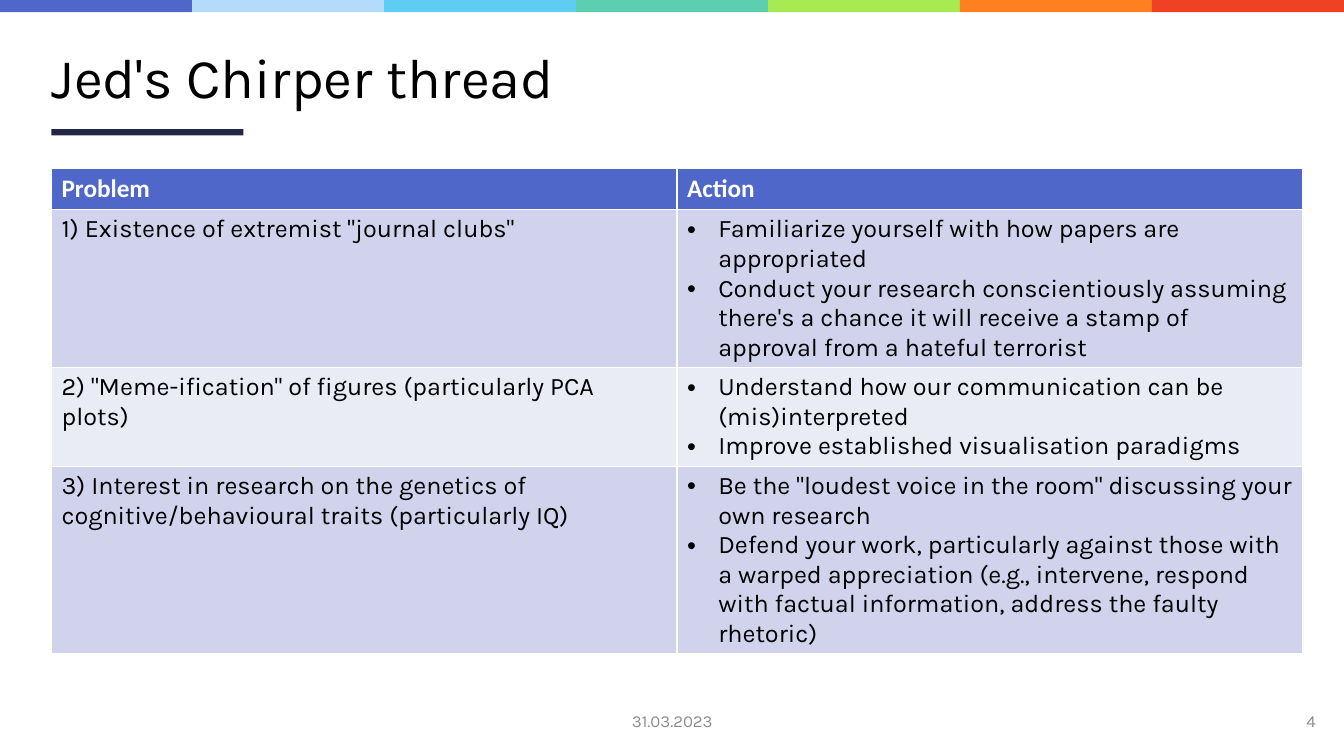
from dataclasses import dataclass

from lxml.etree import SubElement
from pptx import Presentation
from pptx.dml.color import RGBColor
from pptx.enum.shapes import MSO_SHAPE as Shape
from pptx.enum.text import MSO_ANCHOR as Anchor, PP_ALIGN as Align
from pptx.oxml.ns import qn
from pptx.util import Inches, Pt


@dataclass(frozen=True)
class Theme:
    strips: tuple = ("4E67C8", "B4DCFA", "5ECCF3", "5DCEAF", "A7EA52", "FF8021", "F14124")
    accent: str = "212745"
    header: str = "4E67C8"
    bands: tuple = ("D0D3EB", "E9EBF5")
    ink: str = "000000"
    paper: str = "FFFFFF"
    muted: str = "8C8C8C"
    font: str = "Karla"
    header_font: str = "Calibri"
    title_size: int = 40
    body_size: int = 18
    footer_size: int = 12


class SlideBuilder:
    """Draws on one slide; places are percentages of its width and height."""

    def __init__(self, deck, theme):
        self.deck = deck
        self.theme = theme
        self.page = deck.slides.add_slide(deck.slide_layouts[5])

    def across(self, share):
        return round(self.deck.slide_width * share / 100)

    def down(self, share):
        return round(self.deck.slide_height * share / 100)

    def place(self, left, top, width, height):
        return self.across(left), self.down(top), self.across(width), self.down(height)

    def style(self, para, size, color, font=None, bold=False):
        for span in para.runs:
            span.font.name = font or self.theme.font
            span.font.size = Pt(size)
            span.font.bold = bold
            span.font.color.rgb = RGBColor.from_string(color)

    def title(self, text, place):
        box = self.page.shapes.title
        box.left, box.top, box.width, box.height = self.place(*place)
        box.text_frame.text = text
        box.text_frame.vertical_anchor = Anchor.MIDDLE
        para = box.text_frame.paragraphs[0]
        para.alignment = Align.LEFT
        para.line_spacing = 0.9
        self.style(para, self.theme.title_size, self.theme.ink)

    def bar(self, color, place):
        bar = self.page.shapes.add_shape(Shape.RECTANGLE, *self.place(*place))
        bar.shadow.inherit = False
        bar.fill.solid()
        bar.fill.fore_color.rgb = RGBColor.from_string(color)
        bar.line.fill.background()

    def footer(self, text, place, align):
        box = self.page.shapes.add_textbox(*self.place(*place))
        box.text_frame.word_wrap = True
        box.text_frame.vertical_anchor = Anchor.MIDDLE
        box.text_frame.text = text
        para = box.text_frame.paragraphs[0]
        para.alignment = align
        self.style(para, self.theme.footer_size, self.theme.muted)

    def bullet(self, para):
        indent = Inches(0.31)
        props = para._p.get_or_add_pPr()
        props.set("marL", str(indent))
        props.set("indent", str(-indent))
        SubElement(props, qn("a:buFont")).set("typeface", "Arial")
        SubElement(props, qn("a:buChar")).set("char", "•")

    def cell(self, cell, lines, fill, color, font=None, bold=False, bullets=False):
        cell.fill.solid()
        cell.fill.fore_color.rgb = RGBColor.from_string(fill)
        cell.text_frame.text = "\n".join(lines)
        for para in cell.text_frame.paragraphs:
            if bullets:
                self.bullet(para)
            self.style(para, self.theme.body_size, color, font, bold)

    def table(self, headings, rows, heights, place):
        theme = self.theme
        left, top, width, _ = place
        frame = self.page.shapes.add_table(
            len(rows) + 1, len(headings), *self.place(left, top, width, sum(heights)))
        table = frame.table
        for row, height in zip(table.rows, heights):
            row.height = self.down(height)
        for column, heading in enumerate(headings):
            self.cell(table.cell(0, column), [heading], theme.header, theme.paper,
                      theme.header_font, bold=True)
        for index, (problem, actions) in enumerate(rows):
            band = theme.bands[index % len(theme.bands)]
            self.cell(table.cell(index + 1, 0), [problem], band, theme.ink)
            self.cell(table.cell(index + 1, 1), actions, band, theme.ink, bullets=True)


THREAD = [
    ('1) Existence of extremist "journal clubs"', [
        "Familiarize yourself with how papers are appropriated",
        "Conduct your research conscientiously assuming there's a chance it will "
        "receive a stamp of approval from a hateful terrorist"]),
    ('2) "Meme-ification" of figures (particularly PCA plots)', [
        "Understand how our communication can be (mis)interpreted",
        "Improve established visualisation paradigms"]),
    ("3) Interest in research on the genetics of cognitive/behavioural traits "
     "(particularly IQ)", [
        'Be the "loudest voice in the room" discussing your own research',
        "Defend your work, particularly against those with a warped appreciation "
        "(e.g., intervene, respond with factual information, address the faulty rhetoric)"]),
]


def main():
    deck = Presentation()
    deck.slide_width, deck.slide_height = Inches(13.33), Inches(7.5)
    theme = Theme()
    slide = SlideBuilder(deck, theme)

    # Colour strips along the top edge
    strip = 100 / len(theme.strips)
    for index, color in enumerate(theme.strips):
        slide.bar(color, (index * strip, 0, strip, 1.6))

    # Title and its underline
    slide.title("Jed's Chirper thread", (3.08, 5.6, 93.83, 10.13))
    slide.bar(theme.accent, (3.83, 17.07, strip, 0.86))

    # Problems and actions
    heights = (5.47, 20, 12, 24)
    slide.table(("Problem", "Action"), THREAD, heights, (3.83, 22.27, 93.08, sum(heights)))

    # Date and page number
    slide.footer("31.03.2023", (38.78, 92.67, 22.5, 5.33), Align.CENTER)
    slide.footer("4", (95.25, 92.67, 3.38, 5.33), Align.RIGHT)

    deck.save("out.pptx")


if __name__ == "__main__":
    main()
